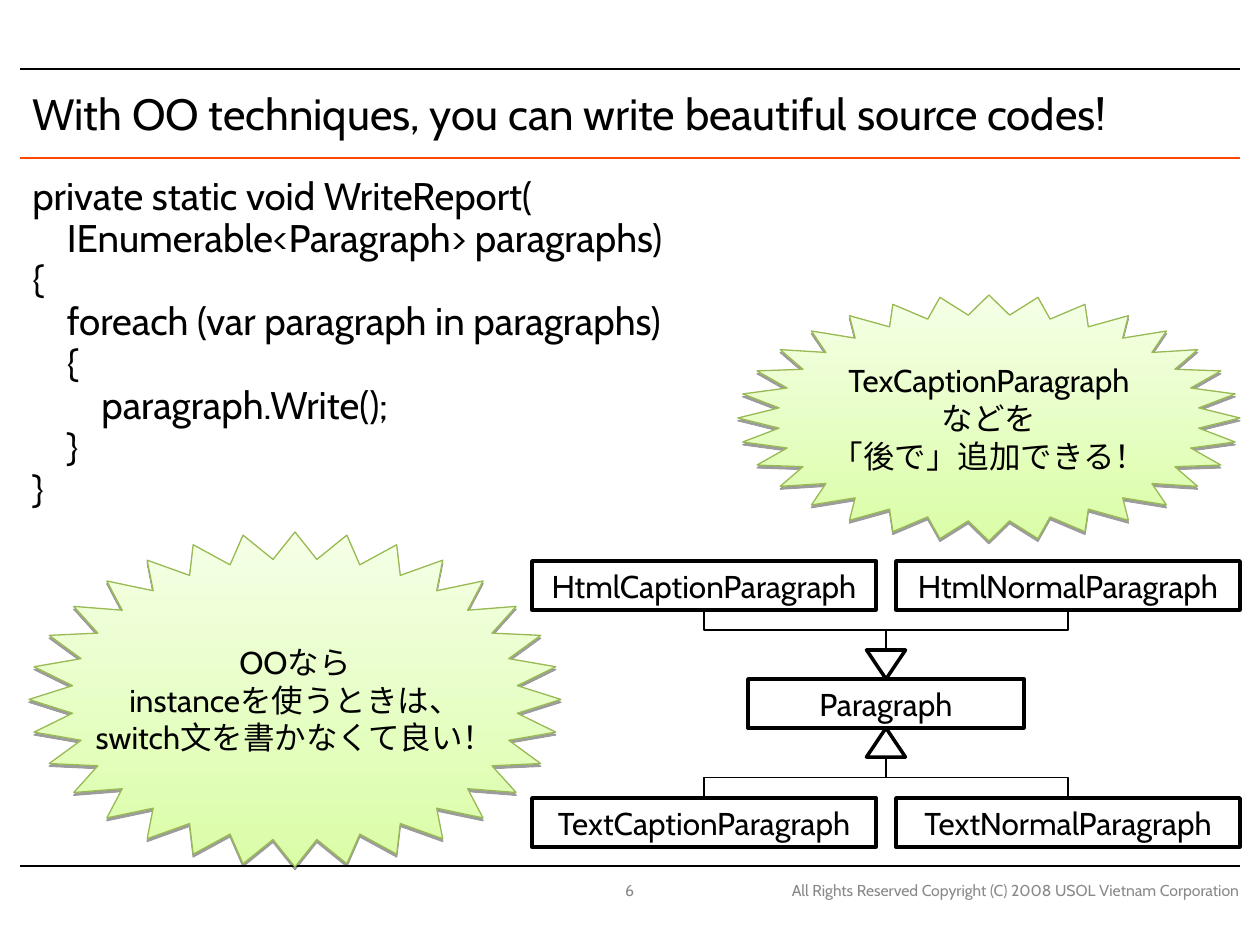
"""Builds a slide on object-oriented source code with a class diagram and two star callouts."""
from lxml.etree import SubElement
from pptx import Presentation
from pptx.dml.color import RGBColor
from pptx.enum.shapes import MSO_CONNECTOR, MSO_SHAPE
from pptx.enum.text import MSO_ANCHOR, PP_ALIGN
from pptx.oxml import parse_xml
from pptx.oxml.ns import qn
from pptx.util import Pt

COLORS = {
    "black": "000000",
    "white": "FFFFFF",
    "accent": "FE4800",
    "footer": "898989",
    "star_bottom": "DAFDA7",
    "star_top": "F5FFE6",
    "star_line": "98B954",
}
FONT = "Cabin"
SCALE = 914400 / 126
SLIDE_SIZE = (1260, 945)

RULES = [(69, "black"), (158, "accent"), (866, "black")]
RULE_ENDS = (20, 1240)

CODE = [
    "private static void WriteReport(",
    "    IEnumerable<Paragraph> paragraphs)",
    "{",
    "    foreach (var paragraph in paragraphs)",
    "    {",
    "        paragraph.Write();",
    "    }",
    "}",
]
LEFT = {"alignment": PP_ALIGN.LEFT}
CENTER = {"alignment": PP_ALIGN.CENTER}
RIGHT = {"alignment": PP_ALIGN.RIGHT}
CODE_FORMAT = {"alignment": PP_ALIGN.LEFT, "line_spacing": 0.7}
MIDDLE, TOP = MSO_ANCHOR.MIDDLE, MSO_ANCHOR.TOP
TEXTS = [
    (["With OO techniques, you can write beautiful source codes!"],
     (20, 78, 1221, 69), 25, "black", MIDDLE, LEFT, 0),
    (CODE, (20, 178, 1221, 374), 22, "black", TOP, CODE_FORMAT, 5.5),
    (["All Rights Reserved Copyright (C) 2008 USOL Vietnam Corporation"],
     (759, 875, 492, 30), 9, "footer", MIDDLE, RIGHT, 0),
    (["6"], (512, 876, 235, 29), 9, "footer", MIDDLE, CENTER, 0),
]

BASE_CLASS = ("Paragraph", (748, 679, 276, 49))
SUBCLASS_ROWS = [
    (561, ["HtmlCaptionParagraph", "HtmlNormalParagraph"]),
    (798, ["TextCaptionParagraph", "TextNormalParagraph"]),
]
SUBCLASS_LEFT, SUBCLASS_STEP, SUBCLASS_WIDTH = 532, 364, 344
TRIANGLE_WIDTH, TRIANGLE_HEIGHT = 39, 29

STARS = [
    (["OOなら\vinstanceを使うときは、\vswitch文を書かなくて良い！"], (29, 532, 532, 335)),
    (["TexCaptionParagraph", "などを", "「後で」追加できる！"], (738, 295, 502, 246)),
]
STAR_INNER_RADIUS = 0.42


def px(value):
    return round(value * SCALE)


def color(name):
    return RGBColor.from_string(COLORS[name])


def write_text(shape, lines, size, color_name, anchor=MIDDLE, paragraph_format=CENTER,
               space_before=0, wrap=True):
    frame = shape.text_frame
    frame.word_wrap = wrap
    frame.vertical_anchor = anchor
    for index, line in enumerate(lines):
        paragraph = frame.paragraphs[0] if index == 0 else frame.add_paragraph()
        paragraph.text = line
        for name, value in paragraph_format.items():
            setattr(paragraph, name, value)
        paragraph.space_before = Pt(space_before if index else 0)
        for name, value in {"name": FONT, "size": Pt(size)}.items():
            setattr(paragraph.font, name, value)
        paragraph.font.color.rgb = color(color_name)


def add_outlined(slide, kind, box):
    shape = slide.shapes.add_shape(kind, *map(px, box))
    shape.shadow.inherit = False
    shape.fill.solid()
    shape.fill.fore_color.rgb = color("white")
    shape.line.color.rgb = color("black")
    shape.line.width = Pt(2)
    return shape


def add_line(slide, kind, begin, end, color_name):
    connector = slide.shapes.add_connector(kind, *map(px, (*begin, *end)))
    connector.line.color.rgb = color(color_name)
    connector.line.width = Pt(0.75)
    SubElement(connector._element.spPr, qn("a:effectLst"))
    return connector


def add_vertical_elbow(slide, begin, end):
    middle_x, middle_y = (begin[0] + end[0]) / 2, (begin[1] + end[1]) / 2
    turned = [(middle_x + y - middle_y, middle_y - x + middle_x) for x, y in (begin, end)]
    connector = add_line(slide, MSO_CONNECTOR.ELBOW, *turned, "black")
    connector._element.spPr.find(qn("a:xfrm")).set("rot", str(90 * 60000))


def add_class(slide, name, box):
    write_text(add_outlined(slide, MSO_SHAPE.RECTANGLE, box), [name], 18, "black")


def add_class_diagram(slide):
    base_name, base_box = BASE_CLASS
    base_left, base_top, base_width, height = base_box
    center = base_left + base_width / 2
    add_class(slide, base_name, base_box)
    for top, names in SUBCLASS_ROWS:
        above = top < base_top
        triangle_top = base_top - TRIANGLE_HEIGHT if above else base_top + height
        start = triangle_top if above else triangle_top + TRIANGLE_HEIGHT
        end = top + height if above else top
        for column, name in enumerate(names):
            left = SUBCLASS_LEFT + column * SUBCLASS_STEP
            add_class(slide, name, (left, top, SUBCLASS_WIDTH, height))
            add_vertical_elbow(slide, (center, start), (left + SUBCLASS_WIDTH / 2, end))
        triangle = add_outlined(
            slide, MSO_SHAPE.ISOSCELES_TRIANGLE,
            (center - TRIANGLE_WIDTH / 2, triangle_top, TRIANGLE_WIDTH, TRIANGLE_HEIGHT))
        triangle.rotation = 180 if above else 0


def add_star(slide, lines, box):
    star = add_outlined(slide, MSO_SHAPE.STAR_32_POINT, box)
    star.adjustments[0] = STAR_INNER_RADIUS
    star.fill.gradient()
    star.fill.gradient_angle = 90
    for stop, name in zip(star.fill.gradient_stops, ("star_bottom", "star_top")):
        stop.color.rgb = color(name)
    star.line.color.rgb = color("star_line")
    star.line.width = Pt(0.75)
    star._element.spPr.find(qn("a:effectLst")).append(parse_xml(
        '<a:outerShdw xmlns:a="http://schemas.openxmlformats.org/drawingml/2006/main" '
        'blurRad="0" dist="20320" dir="5400000" rotWithShape="0">'
        f'<a:srgbClr val="{COLORS["black"]}"><a:alpha val="38000"/></a:srgbClr></a:outerShdw>'))
    write_text(star, lines, 18, "black", wrap=False)


def main():
    presentation = Presentation()
    presentation.slide_width, presentation.slide_height = map(px, SLIDE_SIZE)
    slide = presentation.slides.add_slide(presentation.slide_layouts[6])
    left, right = RULE_ENDS
    for y, color_name in RULES:
        add_line(slide, MSO_CONNECTOR.STRAIGHT, (left, y), (right, y), color_name)
    for lines, box, *text_format in TEXTS:
        write_text(slide.shapes.add_textbox(*map(px, box)), lines, *text_format)
    add_class_diagram(slide)
    for lines, box in STARS:
        add_star(slide, lines, box)
    presentation.save("out.pptx")


if __name__ == "__main__":
    main()
